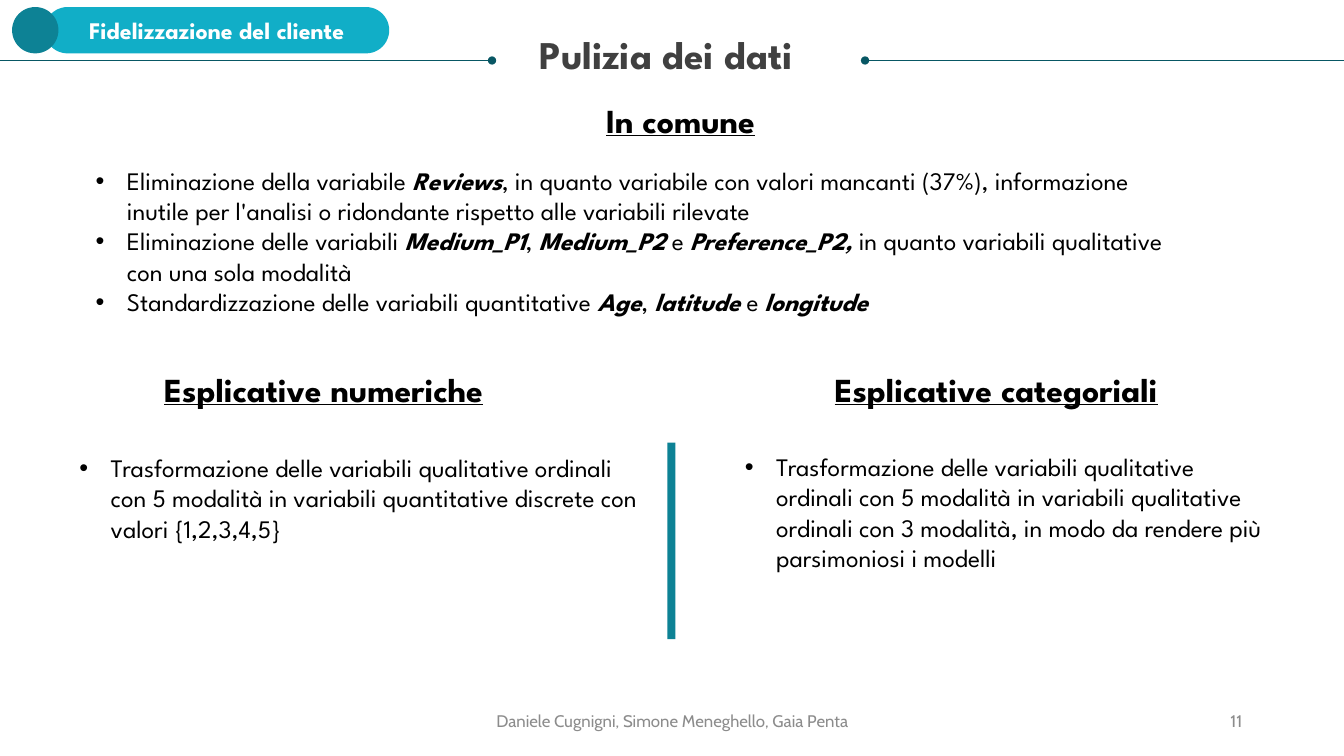
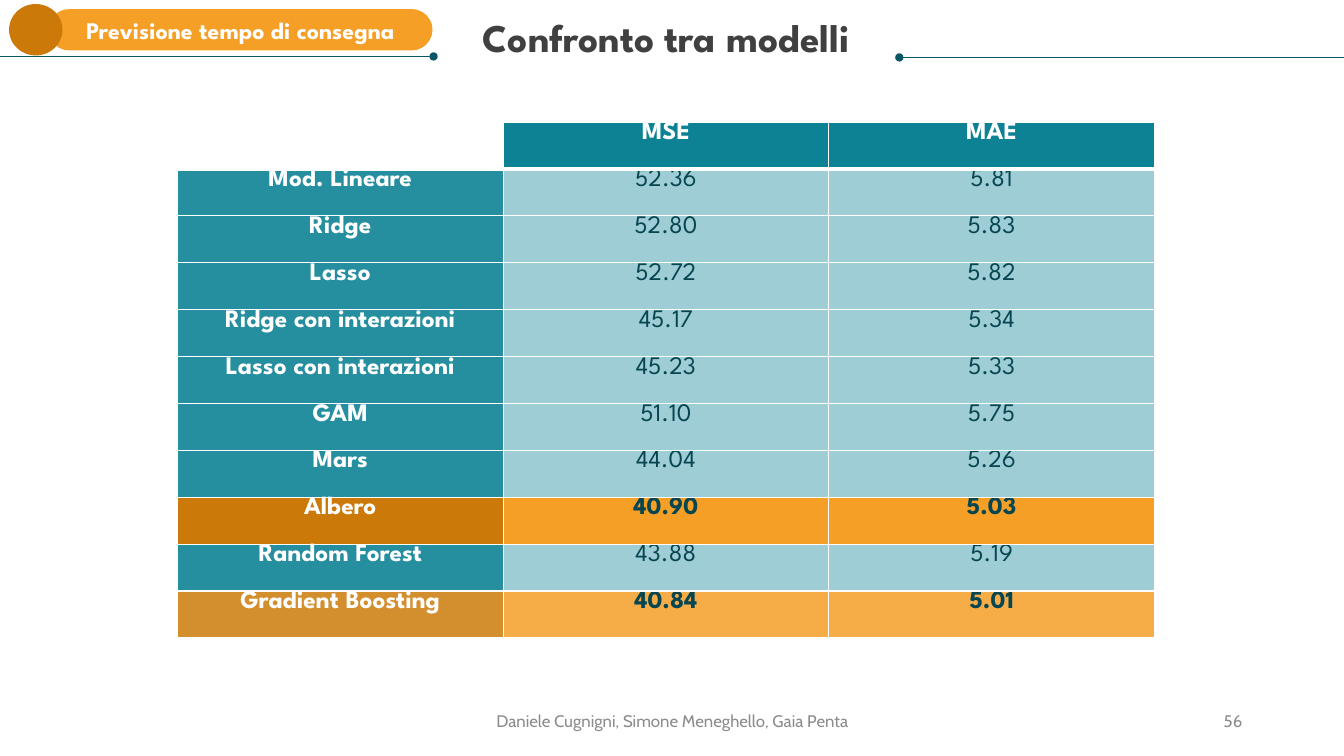
import pptx
import pptx.dml.color
import pptx.enum.shapes
import pptx.enum.text
import pptx.oxml
import pptx.oxml.ns
import pptx.util

Inches, Pt = pptx.util.Inches, pptx.util.Pt
RGBColor = pptx.dml.color.RGBColor
SHAPE = pptx.enum.shapes.MSO_SHAPE
ALIGN = pptx.enum.text.PP_ALIGN
ANCHOR = pptx.enum.text.MSO_ANCHOR

HEADING_FONT, FOOTER_FONT = "League Spartan", "Cabin"
WHITE, BLACK = RGBColor(255, 255, 255), RGBColor(0, 0, 0)
TITLE_GREY, FOOTER_GREY = RGBColor(0x40, 0x40, 0x40), RGBColor(0x8C, 0x8C, 0x8C)
RULE_TEAL, TEAL, CYAN = RGBColor(0x08, 0x57, 0x64), RGBColor(0x0D, 0x82, 0x95), RGBColor(0x11, 0xAE, 0xC7)
ROW_TEAL, PALE_TEAL, INK_TEAL = RGBColor(0x25, 0x8E, 0x9F), RGBColor(0x9E, 0xCD, 0xD5), RGBColor(0x07, 0x46, 0x51)
ORANGE, DARK_ORANGE = RGBColor(0xF5, 0x9F, 0x26), RGBColor(0xCB, 0x7A, 0x09)
SOFT_ORANGE, SOFT_DARK_ORANGE = RGBColor(0xF6, 0xAD, 0x47), RGBColor(0xD3, 0x8E, 0x2E)

SLIDE_WIDTH, SLIDE_HEIGHT = 13.33, 7.5
AUTHORS = "Daniele Cugnigni, Simone Meneghello, Gaia Penta"

# Boxes are left, top, width, height; rules are x and y of the dotted end.
CLEANING = {
    "title": "Pulizia dei dati", "title_box": (5.25, 0.25, 4.76, 0.57),
    "title_align": ALIGN.LEFT, "title_margin": (0.1, 0.05), "title_spacing": 1.0,
    "section": "Fidelizzazione del cliente", "section_box": (0.44, 0.07, 3.42, 0.46),
    "section_fill": CYAN, "dot_box": (0.12, 0.07, 0.46, 0.46), "dot_fill": TEAL,
    "left_rule": (4.88, 0.6), "right_rule": (8.58, 0.6), "number": "11",
}
COMPARISON = {
    "title": "Confronto tra modelli", "title_box": (0.19, 0.18, 12.83, 0.85),
    "title_align": ALIGN.CENTER, "title_margin": (0, 0), "title_spacing": 0.9,
    "section": "Previsione tempo di consegna", "section_box": (0.48, 0.09, 3.81, 0.41),
    "section_fill": ORANGE, "dot_box": (0.09, 0.04, 0.53, 0.51), "dot_fill": DARK_ORANGE,
    "left_rule": (4.3, 0.56), "right_rule": (8.92, 0.57), "number": "56",
}

SUBHEADINGS = [
    ("In comune", (3.8, 0.94, 5.9, 0.5)),
    ("Esplicative numeriche", (0.26, 3.61, 5.9, 0.5)),
    ("Esplicative categoriali", (6.93, 3.61, 5.9, 0.5)),
]
# Box, left indent, bullets; asterisks enclose emphasised words.
BULLET_LISTS = [
    ((0.35, 1.59, 11.62, 1.9), 0.81, [
        "Eliminazione della variabile *Reviews*, in quanto variabile con valori mancanti (37%), "
        "informazione inutile per l'analisi o ridondante rispetto alle variabili rilevate",
        "Eliminazione delle variabili *Medium_P1*, *Medium_P2* e *Preference_P2,* in quanto "
        "variabili qualitative con una sola modalità",
        "Standardizzazione delle variabili quantitative *Age*, *latitude* e *longitude*",
    ]),
    ((0.69, 4.44, 5.8, 1.01), 0.31, [
        "Trasformazione delle variabili qualitative ordinali con 5 modalità in variabili "
        "quantitative discrete con valori {1,2,3,4,5}",
    ]),
    ((7.29, 4.43, 5.43, 1.62), 0.31, [
        "Trasformazione delle variabili qualitative ordinali con 5 modalità in variabili "
        "qualitative ordinali con 3 modalità, in modo da rendere più parsimoniosi i modelli",
    ]),
]
DIVIDER_BOX = (6.62, 4.39, 0.08, 1.95)

MODEL_SCORES = [
    ("", "MSE", "MAE"),
    ("Mod. Lineare", "52.36", "5.81"),
    ("Ridge", "52.80", "5.83"),
    ("Lasso", "52.72", "5.82"),
    ("Ridge con interazioni", "45.17", "5.34"),
    ("Lasso con interazioni", "45.23", "5.33"),
    ("GAM", "51.10", "5.75"),
    ("Mars", "44.04", "5.26"),
    ("Albero", "40.90", "5.03"),
    ("Random Forest", "43.88", "5.19"),
    ("Gradient Boosting", "40.84", "5.01"),
]
BEST_MODELS = {
    "Albero": (DARK_ORANGE, ORANGE),
    "Gradient Boosting": (SOFT_DARK_ORANGE, SOFT_ORANGE),
}
SCORES_BOX = (1.76, 1.21, 9.69, 5.12)


def inches(box):
    return [Inches(length) for length in box]


def style_text(paragraph, size, color, font=HEADING_FONT, bold=False, align=ALIGN.LEFT):
    paragraph.alignment = align
    for run in paragraph.runs:
        run.font.size, run.font.name, run.font.bold = Pt(size), font, bold
        run.font.color.rgb = color


def add_text(slide, box, text, size, color, anchor=ANCHOR.TOP, **style):
    frame = slide.shapes.add_textbox(*inches(box)).text_frame
    frame.word_wrap, frame.vertical_anchor = True, anchor
    frame.text = text
    style_text(frame.paragraphs[0], size, color, **style)
    return frame


def add_filled(slide, preset, box, fill):
    shape = slide.shapes.add_shape(preset, *inches(box))
    shape.shadow.inherit = False
    shape.fill.solid()
    shape.fill.fore_color.rgb = fill
    shape.line.fill.background()
    return shape


def add_xml(parent, tag, **attributes):
    child = pptx.oxml.parse_xml(f"<a:{tag} {pptx.oxml.ns.nsdecls('a')}/>")
    for name, value in attributes.items():
        child.set(name, str(value))
    parent.append(child)
    return child


def add_rule(slide, edge_x, dotted_end):
    """Draw a title rule from the slide edge to its dotted end."""
    x, y = dotted_end
    rule = slide.shapes.add_connector(
        pptx.enum.shapes.MSO_CONNECTOR.STRAIGHT, *inches((edge_x, y, x, y)))
    rule.line.width = Pt(0.5)
    rule.line.color.rgb = RULE_TEAL
    add_xml(rule.line._get_or_add_ln(), "tailEnd", type="oval")
    add_xml(rule._element.spPr, "effectLst")


def add_framed_slide(deck, frame):
    """Add a slide with its title, rules, section label and footer."""
    slide = deck.slides.add_slide(deck.slide_layouts[5])
    add_rule(slide, 0, frame["left_rule"])
    add_rule(slide, SLIDE_WIDTH, frame["right_rule"])

    title = slide.shapes.title
    title.left, title.top, title.width, title.height = inches(frame["title_box"])
    text = title.text_frame
    text.text = frame["title"]
    text.auto_size = pptx.enum.text.MSO_AUTO_SIZE.NONE
    text.vertical_anchor = ANCHOR.TOP
    side, end = inches(frame["title_margin"])
    text.margin_left = text.margin_right = side
    text.margin_top = text.margin_bottom = end
    text.paragraphs[0].line_spacing = frame["title_spacing"]
    style_text(text.paragraphs[0], 28, TITLE_GREY, bold=True, align=frame["title_align"])

    section = add_filled(slide, SHAPE.ROUNDED_RECTANGLE, frame["section_box"], frame["section_fill"])
    section.adjustments[0] = 0.5
    section.text_frame.text = frame["section"]
    section.text_frame.vertical_anchor = ANCHOR.MIDDLE
    style_text(section.text_frame.paragraphs[0], 17, WHITE, bold=True, align=ALIGN.CENTER)
    add_filled(slide, SHAPE.OVAL, frame["dot_box"], frame["dot_fill"])

    for box, words, align in (
        ((4.42, 6.95, 4.5, 0.4), AUTHORS, ALIGN.CENTER),
        ((9.42, 6.95, 3, 0.4), frame["number"], ALIGN.RIGHT),
    ):
        add_text(slide, box, words, 12, FOOTER_GREY, ANCHOR.MIDDLE, font=FOOTER_FONT, align=align)
    return slide


def add_bullets(slide, box, indent, bullets):
    frame = slide.shapes.add_textbox(*inches(box)).text_frame
    frame.word_wrap = True
    for index, bullet in enumerate(bullets):
        paragraph = frame.add_paragraph() if index else frame.paragraphs[0]
        properties = paragraph._p.get_or_add_pPr()
        properties.set("marL", str(Inches(indent)))
        properties.set("indent", str(-Inches(0.31)))
        add_xml(properties, "buFont", typeface="Arial")
        add_xml(properties, "buChar", char="•")
        pieces = bullet.split("*")
        for piece in pieces:
            paragraph.add_run().text = piece
        style_text(paragraph, 18, BLACK)
        for emphasised in paragraph.runs[1::2]:
            emphasised.font.bold = emphasised.font.italic = True


def add_cell_borders(cell, top=1, bottom=1):
    properties = cell._tc.get_or_add_tcPr()
    for side, width in (("L", 1), ("R", 1), ("T", top), ("B", bottom)):
        border = add_xml(properties, f"ln{side}", w=Pt(width))
        add_xml(add_xml(border, "solidFill"), "srgbClr", val=WHITE)


def cell_colors(row, column, model):
    """Return the fill and the text colour of a score cell."""
    if row == 0:
        return (TEAL if column else WHITE), WHITE
    name_fill, score_fill = BEST_MODELS.get(model, (ROW_TEAL, PALE_TEAL))
    return (score_fill, INK_TEAL) if column else (name_fill, WHITE)


def add_scores(slide):
    row_count, column_count = len(MODEL_SCORES), len(MODEL_SCORES[0])
    table = slide.shapes.add_table(row_count, column_count, *inches(SCORES_BOX)).table
    table.first_row = table.horz_banding = False
    for row, scores in enumerate(MODEL_SCORES):
        model = scores[0]
        for column, value in enumerate(scores):
            cell = table.cell(row, column)
            fill, ink = cell_colors(row, column, model)
            add_cell_borders(cell, top=3 if row == 1 else 1, bottom=3 if row == 0 else 1)
            cell.fill.solid()
            cell.fill.fore_color.rgb = fill
            cell.margin_top = cell.margin_bottom = 0
            cell.text_frame.text = value
            bold = row == 0 or column == 0 or model in BEST_MODELS
            style_text(cell.text_frame.paragraphs[0], 18, ink, bold=bold, align=ALIGN.CENTER)


def main():
    deck = pptx.Presentation()
    deck.slide_width, deck.slide_height = inches((SLIDE_WIDTH, SLIDE_HEIGHT))

    cleaning = add_framed_slide(deck, CLEANING)
    for heading, box in SUBHEADINGS:
        frame = add_text(cleaning, box, heading, 24, BLACK, bold=True, align=ALIGN.CENTER)
        frame.paragraphs[0].runs[0].font.underline = True
    for box, indent, bullets in BULLET_LISTS:
        add_bullets(cleaning, box, indent, bullets)
    add_filled(cleaning, SHAPE.RECTANGLE, DIVIDER_BOX, TEAL)

    add_scores(add_framed_slide(deck, COMPARISON))
    deck.save("out.pptx")


if __name__ == "__main__":
    main()
